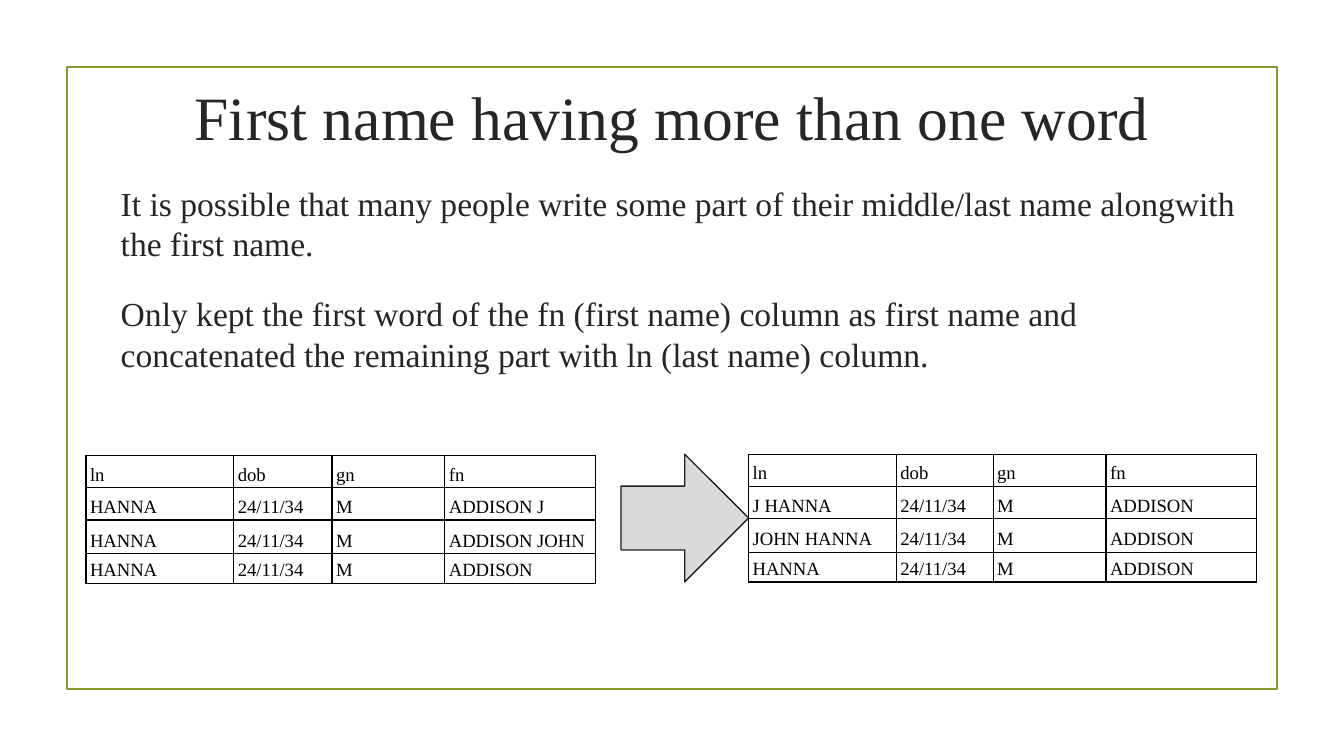
from lxml.etree import SubElement
from pptx import Presentation
from pptx.dml.color import RGBColor
from pptx.enum.shapes import MSO_SHAPE as SHAPE
from pptx.enum.text import MSO_ANCHOR as ANCHOR, MSO_AUTO_SIZE as AUTO_SIZE, PP_ALIGN as ALIGN
from pptx.oxml.ns import qn
from pptx.util import Inches, Pt

FONT = "Times New Roman"
INK = RGBColor(0x26, 0x26, 0x26)
BLACK = RGBColor(0, 0, 0)
OLIVE = RGBColor(0x83, 0x99, 0x2A)
ARROW_FILL = RGBColor(0xDA, 0xDA, 0xDA)
ARROW_LINE = RGBColor(0x21, 0x21, 0x21)

SLIDE_WIDTH = 10
SLIDE_HEIGHT = SLIDE_WIDTH * 9 / 16
MARGIN = 0.5
WIDTHS_BEFORE = [1.1, 0.73, 0.84, 1.12]
WIDTHS_AFTER = [1.1, 0.72, 0.84, 1.12]
ROW_HEIGHTS = [0.24, 0.24, 0.25, 0.22]

TITLE = "First name having more than one word"
BODY = [
    "It is possible that many people write some part of their middle/last name "
    "alongwith the first name.",
    "Only kept the first word of the fn (first name) column as first name and "
    "concatenated the remaining part with ln (last name) column.",
]
HEADER = ["ln", "dob", "gn", "fn"]
BIRTH_DATE, GENDER = "24/11/34", "M"
NAMES_BEFORE = [("HANNA", "ADDISON J"), ("HANNA", "ADDISON JOHN"), ("HANNA", "ADDISON")]
NAMES_AFTER = [("J HANNA", "ADDISON"), ("JOHN HANNA", "ADDISON"), ("HANNA", "ADDISON")]


def add_text(paragraph, text, size, color):
    run = paragraph.add_run()
    run.text = text
    run.font.name, run.font.size = FONT, Pt(size)
    run.font.color.rgb = color


def set_margins(target, horizontal, top, bottom):
    target.margin_left = target.margin_right = Inches(horizontal)
    target.margin_top, target.margin_bottom = Inches(top), Inches(bottom)


def add_outlined_shape(slide, kind, box, line_color, line_width, fill_color=None):
    shape = slide.shapes.add_shape(kind, *map(Inches, box))
    shape.shadow.inherit = False
    if fill_color is None:
        shape.fill.background()
    else:
        shape.fill.solid()
        shape.fill.fore_color.rgb = fill_color
    shape.line.color.rgb = line_color
    shape.line.width = Pt(line_width)


def set_title(slide, text):
    title = slide.shapes.title
    title.left, title.top, title.width, title.height = map(Inches, (0.34, 0.49, 9.32, 0.63))
    frame = title.text_frame
    frame.word_wrap, frame.auto_size = True, AUTO_SIZE.NONE
    frame.vertical_anchor = ANCHOR.TOP
    set_margins(frame, 0.1, 0.1, 0.1)
    paragraph = frame.paragraphs[0]
    paragraph.alignment = ALIGN.CENTER
    add_text(paragraph, text, 33, INK)


def add_body(slide, texts):
    frame = slide.shapes.add_textbox(*map(Inches, (0.8, 1.26, 8.55, 3.74))).text_frame
    frame.word_wrap = True
    set_margins(frame, 0.1, 0.1, 0.1)
    for index, text in enumerate(texts):
        paragraph = frame.add_paragraph() if index else frame.paragraphs[0]
        paragraph.space_before = Pt(16 if index else 0)
        add_text(paragraph, text, 18, INK)


def set_borders(cell):
    properties = cell._tc.get_or_add_tcPr()
    for position, side in enumerate(("a:lnL", "a:lnR", "a:lnT", "a:lnB")):
        line = SubElement(properties, qn(side), w=str(Pt(0.75)))
        fill = SubElement(line, qn("a:solidFill"))
        SubElement(fill, qn("a:srgbClr"), val=str(BLACK))
        properties.insert(position, line)  # borders come before the fill


def add_name_table(slide, left, top, column_widths, names):
    rows = [HEADER] + [[last, BIRTH_DATE, GENDER, first] for last, first in names]
    size = sum(column_widths), sum(ROW_HEIGHTS)
    table = slide.shapes.add_table(
        len(rows), len(HEADER), *map(Inches, (left, top, *size))
    ).table
    table.first_row = table.horz_banding = False
    for column, width in zip(table.columns, column_widths):
        column.width = Inches(width)
    for row, height, texts in zip(table.rows, ROW_HEIGHTS, rows):
        row.height = Inches(height)
        for cell, text in zip(row.cells, texts):
            cell.fill.background()
            cell.vertical_anchor = ANCHOR.BOTTOM
            set_margins(cell, 0.03, 0.01, 0.02)
            set_borders(cell)
            paragraph = cell.text_frame.paragraphs[0]
            paragraph.line_spacing = 1.15
            add_text(paragraph, text, 10, BLACK)


def main():
    presentation = Presentation()
    presentation.slide_width = Inches(SLIDE_WIDTH)
    presentation.slide_height = Inches(SLIDE_HEIGHT)
    slide = presentation.slides.add_slide(presentation.slide_layouts[5])

    # Frame, title and explanation
    frame_box = (MARGIN, MARGIN, SLIDE_WIDTH - 2 * MARGIN, SLIDE_HEIGHT - 2 * MARGIN)
    add_outlined_shape(slide, SHAPE.RECTANGLE, frame_box, OLIVE, 1.25)
    set_title(slide, TITLE)
    add_body(slide, BODY)

    # Names before and after the change
    add_name_table(slide, 0.64, 3.39, WIDTHS_BEFORE, NAMES_BEFORE)
    add_name_table(slide, 5.57, 3.38, WIDTHS_AFTER, NAMES_AFTER)
    arrow_box = (4.62, 3.38, 0.95, 0.95)
    add_outlined_shape(slide, SHAPE.RIGHT_ARROW, arrow_box, ARROW_LINE, 0.75, ARROW_FILL)

    presentation.save("out.pptx")


if __name__ == "__main__":
    main()
